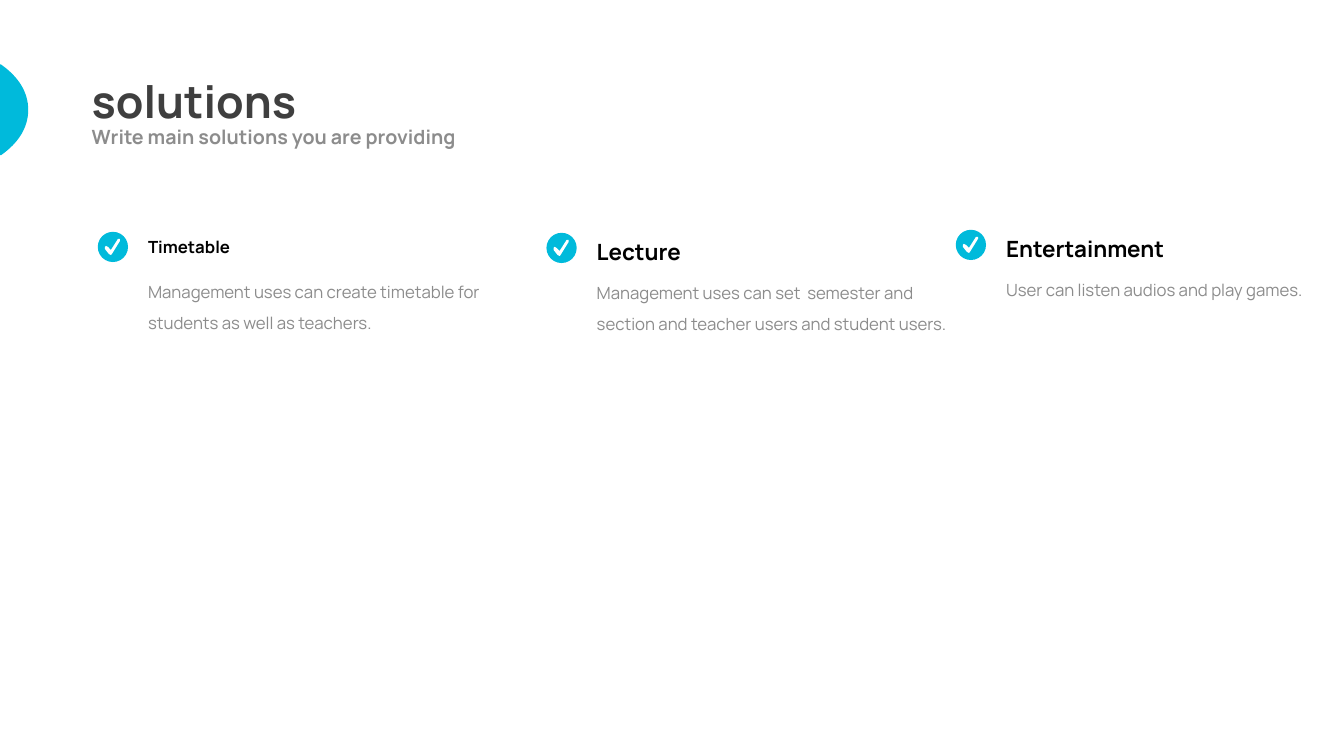
from pptx import Presentation
from pptx.dml.color import RGBColor
from pptx.enum.shapes import MSO_SHAPE as SHAPE
from pptx.enum.text import MSO_ANCHOR as ANCHOR, PP_ALIGN as ALIGN
from pptx.util import Inches, Pt

CYAN, GRAY = "00BADB", "8C8C8C"


def paint(sp, color):
    sp.shadow.inherit = False
    sp.fill.solid()
    sp.fill.fore_color.rgb = RGBColor.from_string(color)
    sp.line.fill.background()


def write(sp, text, size, color, bold=False, spacing=1.0):
    tf = sp.text_frame
    tf.word_wrap = True
    tf.vertical_anchor = ANCHOR.TOP
    tf.text = text
    p = tf.paragraphs[0]
    p.alignment = ALIGN.LEFT
    p.line_spacing = spacing
    font = p.runs[0].font
    font.name, font.size, font.bold = "Manrope", Pt(size), bold
    font.color.rgb = RGBColor.from_string(color)


prs = Presentation()
prs.slide_width, prs.slide_height = Inches(13.33), Inches(7.5)
s = prs.slides.add_slide(prs.slide_layouts[5])

# Title and subtitle
title = s.shapes.title
title.left, title.top = Inches(0.81), Inches(0.68)
title.width, title.height = Inches(5.86), Inches(0.64)
write(title, "solutions", 32, "3F3F3F", bold=True)
subtitle = s.shapes.add_textbox(Inches(0.81), Inches(1.19), Inches(5.86), Inches(0.34))
write(subtitle, "Write main solutions you are providing", 14, GRAY, bold=True)

# Bulge on the left edge: upper quarter as a Bezier curve, lower one mirrored
steps = 16
upper = []
for i in range(steps + 1):
    t = i / steps
    weights = ((1 - t) ** 3, 3 * t * (1 - t) ** 2, 3 * t**2 * (1 - t), t**3)
    upper.append((sum(w * x for w, x in zip(weights, (0.01, 0.18, 0.28, 0.28))),
                  sum(w * y for w, y in zip(weights, (0.64, 0.76, 0.91, 1.09)))))
lower = [(x, 2 * 1.09 - y) for x, y in reversed(upper[:-1])]
outline = upper + lower + [(0, 1.54)]
fb = s.shapes.build_freeform(Inches(0), Inches(0.64))
fb.add_line_segments([(Inches(x), Inches(y)) for x, y in outline])
paint(fb.convert_to_shape(), CYAN)

# Check mark outline, measured from the corner of its circle
check = [(0.13, 0.23), (0.11, 0.22), (0.07, 0.17), (0.07, 0.15), (0.08, 0.14),
         (0.10, 0.15), (0.13, 0.18), (0.20, 0.07), (0.22, 0.07), (0.22, 0.09),
         (0.14, 0.22)]

# Solutions: left, top, heading, heading size, body, body height
solutions = [
    (0.97, 2.30, "Timetable", 12,
     "Management uses can create timetable for students as well as teachers.", 0.71),
    (5.42, 2.31, "Lecture", 16,
     "Management uses can set  semester and section and teacher users and student users.", 0.71),
    (9.48, 2.28, "Entertainment", 16, "User can listen audios and play games.", 0.40),
]
for left, top, heading, size, body, body_height in solutions:
    group = s.shapes.add_group_shape().shapes
    text_left = Inches(left + 0.4)
    head = group.add_textbox(text_left, Inches(top), Inches(3.68),
                             Inches(0.3 if size == 12 else 0.37))
    write(head, heading, size, "000000", bold=True)
    detail = group.add_textbox(text_left, Inches(top + 0.35), Inches(3.68), Inches(body_height))
    write(detail, body, 12, GRAY, spacing=1.5)
    circle = group.add_shape(SHAPE.OVAL, Inches(left), Inches(top), Inches(0.3), Inches(0.3))
    paint(circle, CYAN)
    points = [(Inches(left + x), Inches(top + y)) for x, y in check]
    fb = group.build_freeform(*points[0])
    fb.add_line_segments(points[1:])
    paint(fb.convert_to_shape(), "FFFFFF")

prs.save("out.pptx")
